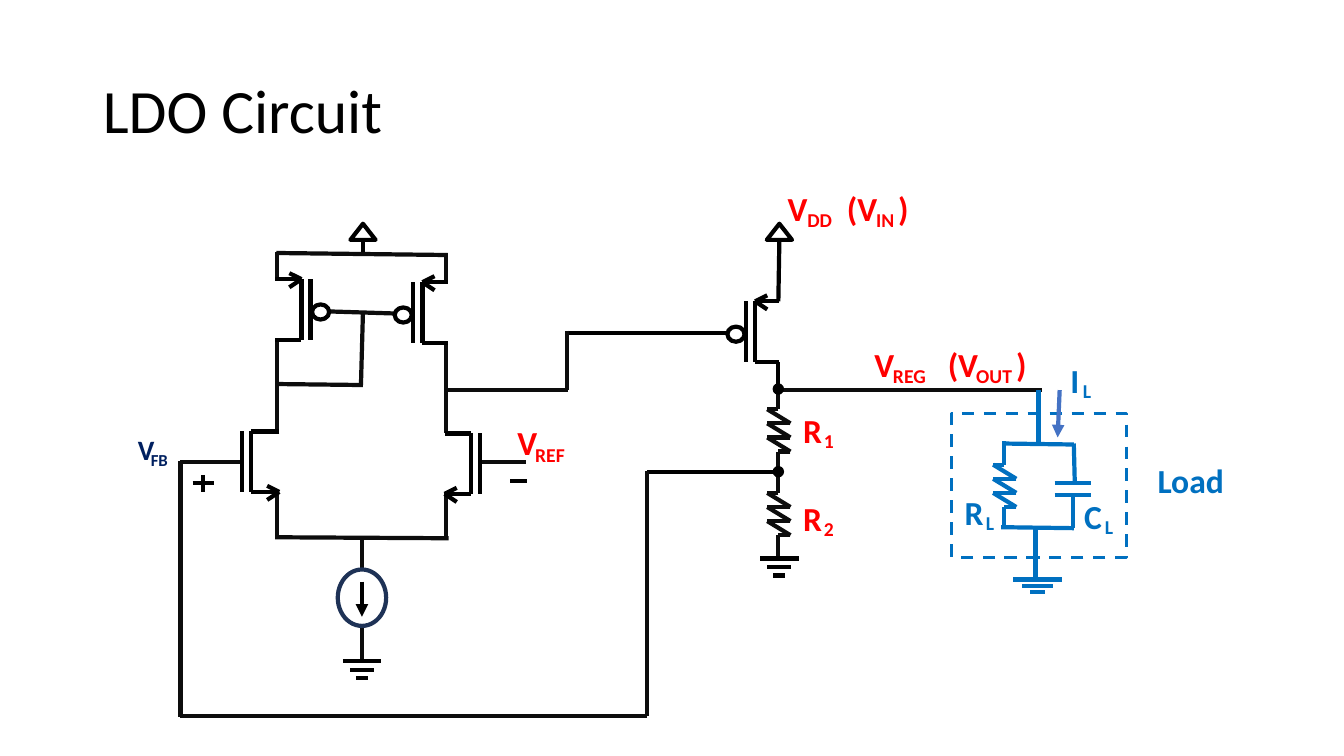
from itertools import pairwise
from lxml.etree import SubElement
from pptx import Presentation
from pptx.dml.color import RGBColor
from pptx.enum.dml import MSO_LINE
from pptx.enum.shapes import MSO_CONNECTOR, MSO_SHAPE
from pptx.enum.text import MSO_ANCHOR, PP_ALIGN
from pptx.oxml.ns import qn
from pptx.util import Inches, Pt

COLORS = {"black": "000000", "ink": "0D0D0D", "red": "FF0000", "blue": "0070C0",
          "arrow": "4472C4", "navy": "002060", "ring": "1E3256", "white": "FFFFFF"}
FONT = {"name": "Calibri", "bold": True}
TITLE = "LDO Circuit"

# text, centre x, top, size, colour
LABELS = [
    ("V", 5.23, 4.14, 24, "red"), ("REF", 5.455, 4.34, 14, "red"),
    ("V", 7.91, 1.82, 24, "red"), ("DD", 8.13, 2.01, 14, "red"),
    ("(V", 8.55, 1.82, 24, "red"), ("IN", 8.78, 2.01, 14, "red"),
    (")", 8.96, 1.82, 24, "red"),
    ("V", 8.77, 3.36, 24, "red"), ("REG", 9.02, 3.56, 14, "red"),
    ("(V", 9.55, 3.36, 24, "red"), ("OUT", 9.86, 3.56, 14, "red"),
    (")", 10.13, 3.36, 24, "red"),
    ("R", 8.06, 4.02, 24, "red"), ("1", 8.22, 4.21, 14, "red"),
    ("R", 8.06, 4.89, 24, "red"), ("2", 8.22, 5.08, 14, "red"),
    ("R", 9.66, 4.83, 24, "blue"), ("L", 9.82, 5.02, 14, "blue"),
    ("C", 10.84, 4.87, 24, "blue"), ("L", 11, 5.06, 14, "blue"),
    ("I", 10.66, 3.52, 24, "blue"), ("L", 10.78, 3.71, 14, "blue"),
    ("Load", 11.81, 4.51, 24, "blue"),
    ("V", 1.45, 4.24, 20, "navy"), ("FB", 1.58, 4.41, 12, "navy"),
]

# column x, near plate x, top, p-type
MOSFETS = [(2.74, 2.99, 2.77, True), (4.43, 4.19, 2.8, True),
           (7.72, 7.49, 2.99, True), (2.76, 2.49, 4.28, False),
           (4.42, 4.67, 4.3, False)]

RESISTORS = [(7.72, 3.83, "ink"), (7.72, 4.66, "ink"), (9.96, 4.38, "blue")]

# centre x, top, bar gap, half widths, colour
GROUNDS = [(3.59, 6.56, 0.085, (0.19, 0.12, 0.06), "black"),
           (7.73, 5.54, 0.085, (0.19, 0.12, 0.06), "black"),
           (10.29, 5.75, 0.06, (0.24, 0.15, 0.07), "blue")]

SUPPLIES = [3.6, 7.73]
NODES = [(7.72, 3.86), (7.72, 4.68)]

WIRES = {
    "black": [
        [(3.6, 2.38), (3.6, 2.52)], [(7.73, 2.38), (7.72, 2.99)],
        [(7.72, 3.59), (7.72, 3.83)], [(7.23, 3.3), (5.6, 3.3)],
        [(7.72, 4.68), (6.42, 4.68)],
        [(5.06, 4.77), (5.23, 4.77)], [(1.91, 4.79), (2.12, 4.79)],
        [(2.01, 4.71), (2.01, 4.88)],
    ],
    "ink": [
        [(2.74, 2.51), (4.44, 2.53)], [(2.75, 2.5), (2.75, 2.78)],
        [(4.42, 2.51), (4.42, 2.81)], [(3.27, 3.09), (3.91, 3.11)],
        [(3.6, 3.09), (3.58, 3.82)], [(2.75, 3.81), (3.6, 3.82)],
        [(2.75, 3.37), (2.75, 4.28)], [(4.42, 3.39), (4.42, 4.3)],
        [(2.75, 4.88), (2.75, 5.33)], [(4.42, 4.88), (4.42, 5.33)],
        [(2.73, 5.33), (4.45, 5.34)], [(3.59, 5.33), (3.59, 6.56)],
        [(1.79, 4.58), (2.39, 4.58)], [(4.77, 4.58), (5.22, 4.58)],
        [(4.43, 3.87), (5.63, 3.87)], [(5.62, 3.28), (5.62, 3.87)],
        [(1.79, 4.57), (1.79, 7.11)], [(1.79, 7.1), (6.42, 7.1)],
        [(6.42, 4.67), (6.42, 7.1)], [(7.72, 3.87), (10.33, 3.87)],
    ],
    "blue": [
        [(10.3, 3.87), (10.3, 4.41)], [(9.95, 4.4), (10.65, 4.41)],
        [(10.65, 4.4), (10.66, 4.79)], [(10.46, 4.79), (10.82, 4.79)],
        [(10.46, 4.91), (10.82, 4.91)], [(10.64, 4.91), (10.64, 5.24)],
        [(9.93, 5.23), (10.65, 5.24)], [(10.27, 5.24), (10.27, 5.75)],
    ],
}

deck = Presentation()
deck.slide_width, deck.slide_height = Inches(13.33), Inches(7.5)
shapes = deck.slides.add_slide(deck.slide_layouts[6]).shapes


def tint(name):
    return RGBColor.from_string(COLORS[name])


def wire(points, color, arrow=False):
    """Join successive points with straight lines."""
    for start, end in pairwise(points):
        line = shapes.add_connector(MSO_CONNECTOR.STRAIGHT,
                                    *map(Inches, start + end))
        line.line.width = Pt(3)
        line.line.color.rgb = tint(color)
        if arrow:
            SubElement(line.line._get_or_add_ln(), qn("a:tailEnd"), type="triangle")
        SubElement(line._element.spPr, qn("a:effectLst"))


def outline(kind, box, color, width=3, fill=None):
    shape = shapes.add_shape(kind, *map(Inches, box))
    shape.shadow.inherit = False
    if fill:
        shape.fill.solid()
        shape.fill.fore_color.rgb = tint(fill)
    else:
        shape.fill.background()
    shape.line.width = Pt(width)
    shape.line.color.rgb = tint(color)
    return shape


def write(text, box, size, color, **style):
    frame = shapes.add_textbox(*map(Inches, box)).text_frame
    frame.word_wrap = True
    frame.margin_left = frame.margin_right = 0
    para = frame.paragraphs[0]
    para.alignment = PP_ALIGN.CENTER
    run = para.add_run()
    run.text = text
    for key, value in {**FONT, "size": Pt(size), **style}.items():
        setattr(run.font, key, value)
    run.font.color.rgb = tint(color)
    return frame


def mosfet(col, near, top, ptype):
    side = 1 if near > col else -1
    far, low = near + side * 0.09, top + 0.6
    for x in (near, far):
        wire([(x, top), (x, low)], "black")
    for y in (top, low):
        wire([(col - side * 0.01, y), (near, y)], "black")
    if ptype:
        tip, y, back = near, top, -side
        mid = far + side * 0.1
        outline(MSO_SHAPE.OVAL, (mid - 0.085, top + 0.25, 0.17, 0.15), "black")
    else:
        tip, y, back = col - side * 0.01, low, side
    for drop in (0.08, -0.06):
        wire([(tip, y), (tip + back * 0.12, y + drop)], "black")


def resistor(x, top, color):
    turns = [(x, top), (x, top + 0.23)]
    for step in range(3):
        y = top + 0.23 + step * 0.14
        turns += [(x - 0.11, y), (x + 0.12, y + 0.14)]
    turns += [(x, top + 0.65), (x, top + 0.86)]
    wire(turns, color)


title = write(TITLE, (1.02, 0.4, 11.3, 1.45), 44, "black", bold=False)
title.vertical_anchor = MSO_ANCHOR.MIDDLE
title.paragraphs[0].alignment = PP_ALIGN.LEFT
title.paragraphs[0].line_spacing = 0.9

for color, runs in WIRES.items():
    for points in runs:
        wire(points, color)
for part in MOSFETS:
    mosfet(*part)
for part in RESISTORS:
    resistor(*part)
for x, top, gap, halves, color in GROUNDS:
    for row, half in enumerate(halves):
        y = top + row * gap
        wire([(x - half, y), (x + half, y)], color)
for x in SUPPLIES:
    outline(MSO_SHAPE.ISOSCELES_TRIANGLE, (x - 0.125, 2.22, 0.25, 0.16), "black")

outline(MSO_SHAPE.OVAL, (3.35, 5.65, 0.48, 0.56), "ring", fill="white")
wire([(3.59, 5.77), (3.59, 6.12)], "black", arrow=True)
load = outline(MSO_SHAPE.RECTANGLE, (9.44, 4.1, 1.73, 1.43), "blue", 2.25)
load.line.dash_style = MSO_LINE.DASH
wire([(10.51, 3.87), (10.49, 4.34)], "arrow", arrow=True)

for text, mid, top, size, color in LABELS:
    write(text, (mid - 0.41, top, 0.82, size / 60 + 0.1), size, color)
for x, y in NODES:
    outline(MSO_SHAPE.OVAL, (x - 0.05, y - 0.05, 0.1, 0.1), "black", 1, "black")

deck.save("out.pptx")
